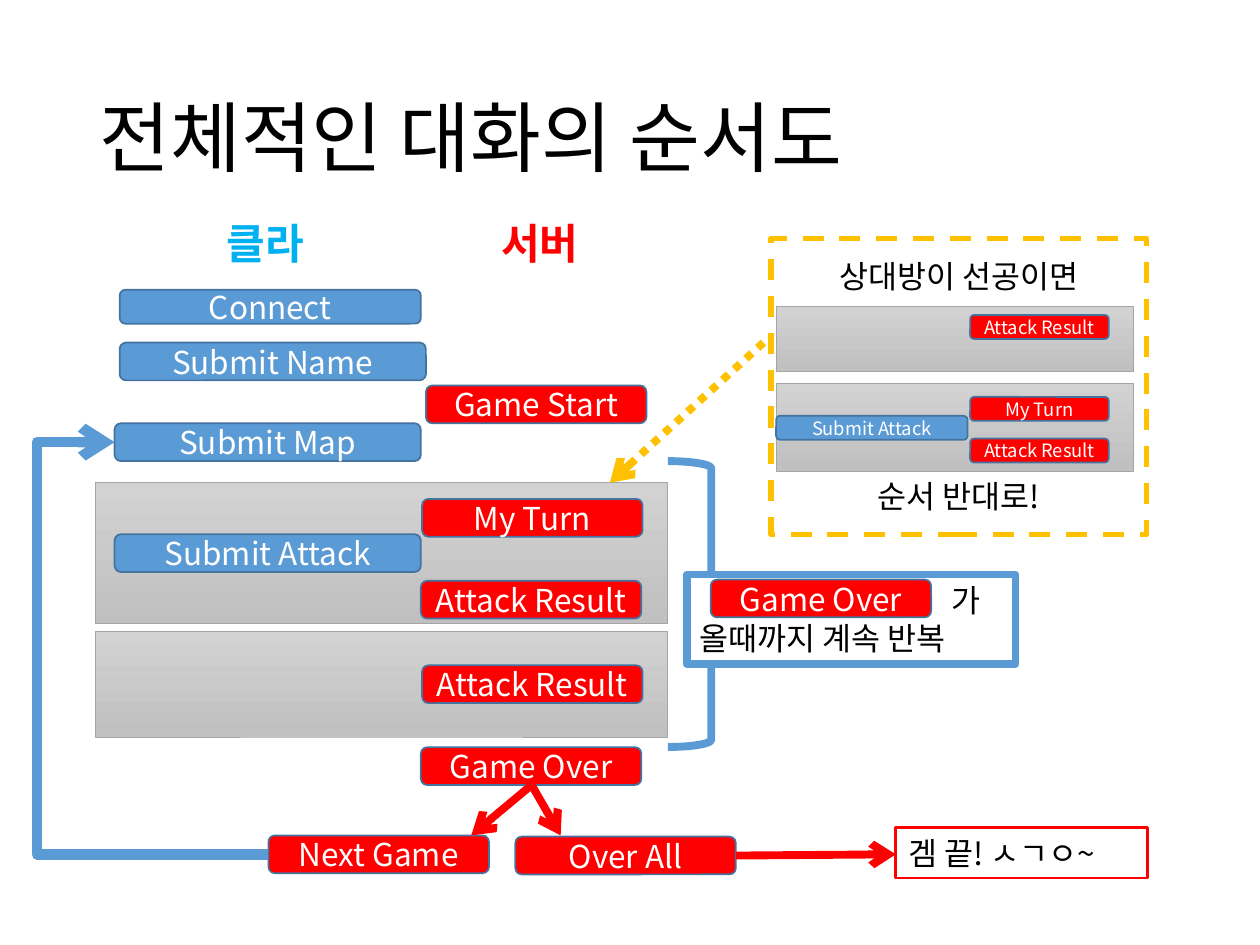
from dataclasses import dataclass

from lxml import etree
from pptx import Presentation
from pptx.dml.color import RGBColor
from pptx.enum import dml, shapes, text
from pptx.oxml import ns
from pptx.util import Pt


@dataclass(frozen=True)
class Theme:
    font: str = "Noto Sans CJK KR"
    client: str = "5B9BD5"
    server: str = "FF0000"
    outline: str = "43739E"
    heading: str = "00B0F0"
    accent: str = "FFC000"
    panel_top: str = "D2D2D2"
    panel_bottom: str = "C0C0C0"
    panel_line: str = "A5A5A5"
    ink: str = "000000"
    paper: str = "FFFFFF"
    title_size: float = 44
    heading_size: float = 24
    body_size: float = 18
    small_size: float = 10.5


T = Theme()
KIND = shapes.MSO_SHAPE
LEFT, CENTER = text.PP_ALIGN.LEFT, text.PP_ALIGN.CENTER
TOP, MIDDLE = text.MSO_ANCHOR.TOP, text.MSO_ANCHOR.MIDDLE

PANELS = [(54.7, 360.7, 326.9, 60.5), (54.7, 275.8, 326.9, 80.6)]
SMALL_PANELS = [(443.5, 175, 204.5, 37.4), (443.5, 218.9, 204.5, 50.4)]
CLIENT_STEPS = [
    ("Connect", 68.4, 165.6, 172.1, 19.4),
    ("Submit Name", 68.4, 195.8, 175, 21.6),
    ("Submit Map", 65.5, 241.9, 175, 21.6),
    ("Submit Attack", 65.5, 305.3, 175, 21.6),
]
SERVER_STEPS = [
    ("Game Start", 243.4, 220.3),
    ("My Turn", 241.2, 285.1),
    ("Attack Result", 240.5, 331.9),
    ("Game Over", 240.5, 427),
    ("Over All", 294.5, 478.1),
    ("Next Game", 153.4, 477.4),
    ("Attack Result", 241.2, 380.2),
]
SMALL_SERVER_STEPS = [("My Turn", 226.8), ("Attack Result", 250.6), ("Attack Result", 180)]


def rgb(value):
    return RGBColor.from_string(value)


def apply(target, values):
    for name, value in values.items():
        setattr(target, name, value)


def write(sp, lines, size, color=T.ink, align=LEFT, anchor=TOP, bold=False, wrap=True, **para):
    tf = sp.text_frame
    apply(tf, {"word_wrap": wrap, "vertical_anchor": anchor})
    for i, line in enumerate(lines):
        p = tf.add_paragraph() if i else tf.paragraphs[0]
        apply(p, {"alignment": align, **para})
        r = p.add_run()
        r.text = line
        apply(r.font, {"size": Pt(size), "name": T.font, "bold": bold})
        r.font.color.rgb = rgb(color)
        ea = etree.SubElement(r.font._element, ns.qn("a:ea"))
        ea.set("typeface", T.font)
    return tf


def style_line(line, color, width, dash=None):
    line.color.rgb = rgb(color)
    line.width = Pt(width)
    if dash:
        line.dash_style = dash


def shape(slide, kind, box, fill, color, width, dash=None):
    sp = slide.shapes.add_shape(kind, *map(Pt, box))
    sp.shadow.inherit = False
    if fill:
        sp.fill.solid()
        sp.fill.fore_color.rgb = rgb(fill)
    else:
        sp.fill.background()
    style_line(sp.line, color, width, dash)
    return sp


def panel(slide, box):
    sp = shape(slide, KIND.RECTANGLE, box, None, T.panel_line, 0.5)
    sp.fill.gradient()
    sp.fill.gradient_angle = 270
    for stop, color in zip(sp.fill.gradient_stops, (T.panel_top, T.panel_bottom)):
        stop.color.rgb = rgb(color)


def step(slide, label, box, fill, size=T.body_size):
    sp = shape(slide, KIND.ROUNDED_RECTANGLE, box, fill, T.outline, 1)
    write(sp, [label], size, T.paper, CENTER, MIDDLE)


def server_step(slide, label, x, y):
    step(slide, label, (x, y, 126, 21.6), T.server)


def label(slide, words, box, size, color, **fmt):
    write(slide.shapes.add_textbox(*map(Pt, box)), [words], size, color, **fmt)


def arrow(slide, start, end, color, width=4.5, dash=None, bend=None):
    kind = shapes.MSO_CONNECTOR.ELBOW if bend else shapes.MSO_CONNECTOR.STRAIGHT
    c = slide.shapes.add_connector(kind, *map(Pt, start + end))
    style_line(c.line, color, width, dash)
    sp_pr = c._element.spPr
    if bend:
        guides = sp_pr.find(ns.qn("a:prstGeom")).find(ns.qn("a:avLst"))
        etree.SubElement(guides, ns.qn("a:gd"), name="adj1", fmla=f"val {round(bend * 100000)}")
    etree.SubElement(sp_pr.find(ns.qn("a:ln")), ns.qn("a:tailEnd"), type="arrow")
    etree.SubElement(sp_pr, ns.qn("a:effectLst"))


def repeat_note(slide):
    shape(slide, KIND.RIGHT_BRACE, (381.6, 263.5, 49.7, 163.4), None, T.client, 4.5)
    sp = shape(slide, KIND.RECTANGLE, (392.4, 328.3, 187.9, 51.1), T.paper, T.client, 4.5)
    tf = write(sp, ["가", "올때까지 계속 반복"], T.body_size)
    tf.paragraphs[0]._p.get_or_add_pPr().set("marL", str(Pt(144)))
    server_step(slide, "Game Over", 406.1, 331.2)


def opponent_first(slide):
    sp = shape(slide, KIND.RECTANGLE, (440.6, 136.1, 214.6, 169.2), T.paper, T.accent, 3,
               dml.MSO_LINE.DASH)
    tf = write(sp, ["상대방이 선공이면", "순서 반대로!"], T.body_size, align=CENTER, anchor=MIDDLE)
    tf.paragraphs[1].space_before = Pt(104)
    for box in SMALL_PANELS:
        panel(slide, box)
    step(slide, "Submit Attack", (443.5, 237.6, 109.4, 13.7), T.client, T.small_size)
    for name, y in SMALL_SERVER_STEPS:
        step(slide, name, (554.4, y, 79.2, 13.7), T.server, T.small_size)


def main():
    prs = Presentation()
    apply(prs, {"slide_width": Pt(720), "slide_height": Pt(540)})
    slide = prs.slides.add_slide(prs.slide_layouts[6])

    for box in PANELS:
        panel(slide, box)
    label(slide, "전체적인 대화의 순서도", (49.7, 28.8, 620.6, 104.4), T.title_size, T.ink,
          anchor=MIDDLE, line_spacing=0.9)
    for name, *box in CLIENT_STEPS:
        step(slide, name, box, T.client)
    for name, x, y in SERVER_STEPS:
        server_step(slide, name, x, y)
    repeat_note(slide)
    arrow(slide, (436.3, 195.8), (348.5, 275.8), T.accent, dash=dml.MSO_LINE.ROUND_DOT)
    opponent_first(slide)

    for end in [(269.3, 477.4), (320.4, 477.4)]:
        arrow(slide, (303.8, 448.6), end, T.server)
    arrow(slide, (153.4, 488.2), (65.5, 252.7), T.client, 6, bend=1.505)
    arrow(slide, (420.5, 488.9), (511.9, 488.2), T.server)
    finish = shape(slide, KIND.RECTANGLE, (511.9, 473, 144, 28.8), None, T.server, 1.5)
    write(finish, ["겜 끝! ㅅㄱㅇ~"], T.body_size)

    for words, x, color in [("클라", 122.4, T.heading), ("서버", 279.4, T.server)]:
        label(slide, words, (x, 121, 63.4, 36), T.heading_size, color, bold=True, wrap=False)
    prs.save("out.pptx")


main()
